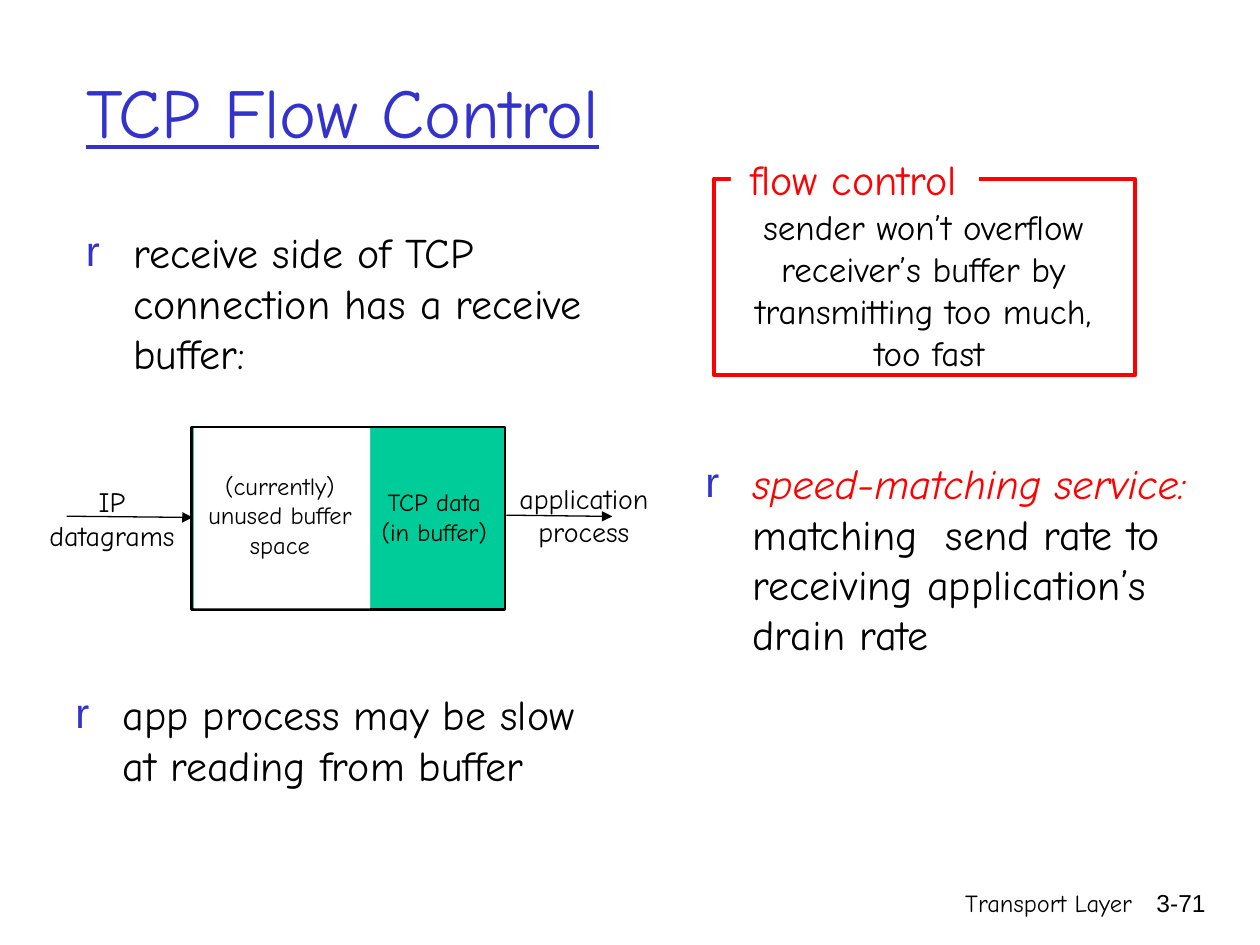
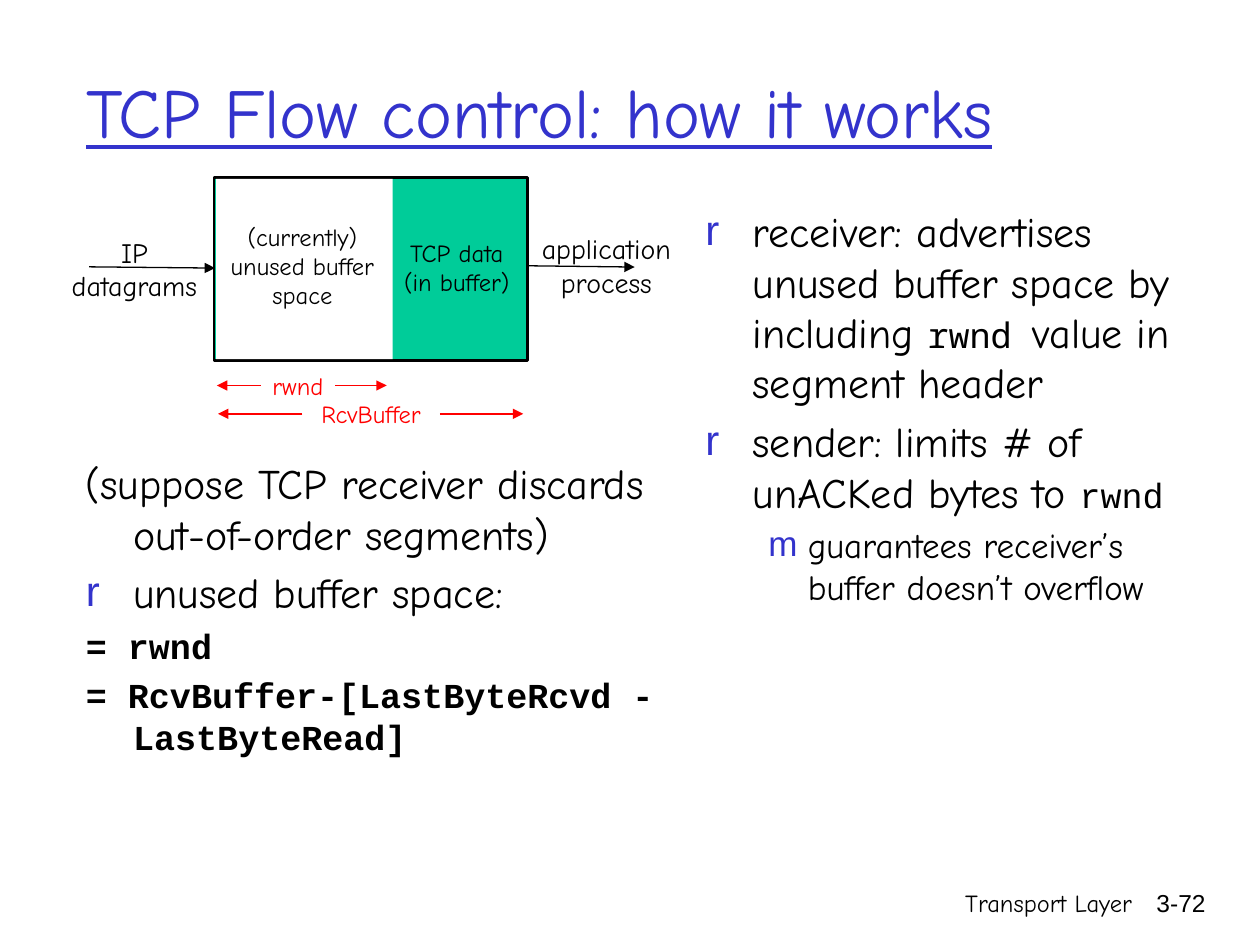
from lxml import etree
from pptx import Presentation
from pptx.dml.color import RGBColor
from pptx.enum.shapes import MSO_CONNECTOR as Link, MSO_SHAPE as Shape
from pptx.enum.text import MSO_ANCHOR as Anchor, MSO_AUTO_SIZE as Fit, PP_ALIGN as Align
from pptx.oxml.ns import qn
from pptx.util import Pt

HUES = {"black": "000000", "white": "FFFFFF", "blue": "3333CC",
        "red": "FF0000", "green": "00CC99"}
COMIC, ARIAL, CODE, MONO = "Comic Neue", "Arial", "Courier New", "Noto Sans Mono"
LEVELS = {"r": (27, -27), "m": (58.5, -22.5), None: (27, -27)}


def hue(name):
    return RGBColor.from_string(HUES[name])


def sub(node, tag, **attrs):
    return etree.SubElement(node, qn(tag), attrs)


def run(text, size=24, tone="black", face=COMIC, **style):
    return text, size, tone, face, style


def add_runs(para, runs):
    for text, size, tone, face, style in runs:
        item = para.add_run()
        item.text = text
        font = item.font
        font.size, font.name = Pt(size), face
        font.color.rgb = hue(tone)
        for key, value in style.items():
            setattr(font, key, value)


def add_box(slide, box):
    """Add an empty wrapping text box and return its frame."""
    frame = slide.shapes.add_textbox(*map(Pt, box)).text_frame
    frame.word_wrap = True
    return frame


def add_para(frame, first):
    return frame.paragraphs[0] if first else frame.add_paragraph()


def add_label(slide, box, lines, size, tone="black", face=COMIC, align=Align.CENTER):
    frame = add_box(slide, box)
    for i, line in enumerate(lines):
        para = add_para(frame, i == 0)
        para.alignment = align
        add_runs(para, [run(line, size, tone, face)])


def add_list(slide, box, items):
    """Add hanging paragraphs, each given as (bullet or None, runs)."""
    frame = add_box(slide, box)
    for i, (mark, runs) in enumerate(items):
        para = add_para(frame, i == 0)
        left, hang = LEVELS[mark]
        props = para._p.get_or_add_pPr()
        props.set("marL", str(Pt(left)))
        props.set("indent", str(Pt(hang)))
        if mark:
            sub(sub(props, "a:buClr"), "a:srgbClr", val=HUES["blue"])
            sub(props, "a:buFont", typeface=ARIAL)
            sub(props, "a:buChar", char=mark)
        if i:
            para.space_before = Pt(runs[0][1] / 5)
        add_runs(para, runs)


def add_rect(slide, box, fill, line=None, width=0):
    rect = slide.shapes.add_shape(Shape.RECTANGLE, *map(Pt, box))
    rect.shadow.inherit = False
    rect.fill.solid()
    rect.fill.fore_color.rgb = hue(fill)
    if line:
        rect.line.color.rgb = hue(line)
        rect.line.width = Pt(width)
    else:
        rect.line.fill.background()


def add_arrow(slide, start, end, tone="black"):
    arrow = slide.shapes.add_connector(Link.STRAIGHT, *map(Pt, start + end))
    arrow.line.color.rgb = hue(tone)
    arrow.line.width = Pt(0.75)
    sub(arrow.line._get_or_add_ln(), "a:tailEnd", type="triangle")
    sub(arrow._element.spPr, "a:effectLst")


def add_slide(deck, title, number):
    slide = deck.slides.add_slide(deck.slide_layouts[5])
    head = slide.shapes.title
    head.left, head.top, head.width, head.height = map(Pt, (42, 18, 612, 90))
    frame = head.text_frame
    frame.auto_size, frame.word_wrap = Fit.NONE, True
    frame.vertical_anchor = Anchor.MIDDLE
    para = frame.paragraphs[0]
    para.alignment = Align.LEFT
    add_runs(para, [run(title, 40, "blue", underline=True)])
    add_label(slide, (426, 504, 228, 36), ["Transport Layer"], 14, align=Align.RIGHT)
    add_label(slide, (643, 504, 53, 36), [number], 14, face=ARIAL, align=Align.RIGHT)
    return slide


def add_buffer(slide, x, y):
    """Draw the receive buffer with its top left corner at x, y."""
    add_rect(slide, (x, y, 179.3, 104.4), "green", "black", 1.5)
    add_rect(slide, (x + 1.4, y + 0.7, 100.8, 103), "white")
    add_arrow(slide, (x - 71.3, y + 51), (x + 0.7, y + 51.7))
    add_arrow(slide, (x + 180, y + 50.4), (x + 240.5, y + 51.1))
    labels = [
        ((-91.4, 29.5, 92, 46), ["IP", "datagrams"], 16),
        ((96.8, 31, 84, 41), ["TCP data", "(in buffer)"], 14),
        ((-2.9, 21.6, 107, 58), ["(currently)", "unused buffer", "space"], 14),
        ((177.5, 27.4, 93.6, 46), ["application", "process"], 16),
    ]
    for (dx, dy, wide, high), lines, size in labels:
        add_label(slide, (x + dx, y + dy, wide, high), lines, size)


def add_span(slide, name, y, outer, inner):
    """Put a name between two arrows that point outwards."""
    add_label(slide, (sum(inner) / 2 - 41, y - 12, 82, 24), [name], 14, "red")
    for start, end in zip(inner, outer):
        add_arrow(slide, (start, y), (end, y), "red")


def add_frame(slide):
    """Draw the framed definition of flow control."""
    add_rect(slide, (408.2, 102.2, 240.5, 112.3), "white", "red", 2.25)
    add_label(slide, (414.7, 113.8, 226, 103),
              ["sender won’t overflow", "receiver’s buffer by",
               "transmitting too much,", " too fast"], 20)
    add_rect(slide, (417.6, 87, 141.8, 28), "white")
    add_label(slide, (413.3, 84.2, 149, 36), ["flow control"], 24, "red")


def main():
    deck = Presentation()
    deck.slide_width, deck.slide_height = Pt(720), Pt(540)

    slide = add_slide(deck, "TCP Flow Control", "3-71")
    add_list(slide, (42, 126, 300, 102), [
        ("r", [run("receive side of TCP connection has a receive buffer:")])])
    add_list(slide, (396, 258, 300, 228), [
        ("r", [run("speed-matching service:", tone="red", italic=True),
               run(" matching  send rate to receiving application’s drain rate")])])
    add_list(slide, (36, 390, 300, 102), [
        ("r", [run("app process may be slow at reading from buffer")])])
    add_frame(slide)
    add_buffer(slide, 109.4, 244)

    slide = add_slide(deck, "TCP Flow control: how it works", "3-72")
    add_list(slide, (42, 258, 342, 234), [
        (None, [run("(suppose TCP receiver discards out-of-order segments)")]),
        ("r", [run("unused buffer space:")]),
        (None, [run("= rwnd", 20, face=CODE, bold=True)]),
        (None, [run("= RcvBuffer-[LastByteRcvd - LastByteRead]", 20,
                    face=CODE, bold=True)])])
    add_list(slide, (396, 114, 306, 366), [
        ("r", [run("receiver: advertises unused buffer space by including "),
               run("rwnd ", 20, face=MONO), run("value in segment header")]),
        ("r", [run("sender: limits # of unACKed bytes to "),
               run("rwnd", 20, face=CODE)]),
        ("m", [run("guarantees receiver’s buffer doesn’t overflow", 20)])])
    add_buffer(slide, 122.2, 101.5)
    add_span(slide, "rwnd", 220.3, (124, 221), (149, 191.5))
    add_span(slide, "RcvBuffer", 236.5, (124.6, 299), (172.8, 251.3))

    deck.save("out.pptx")


if __name__ == "__main__":
    main()
